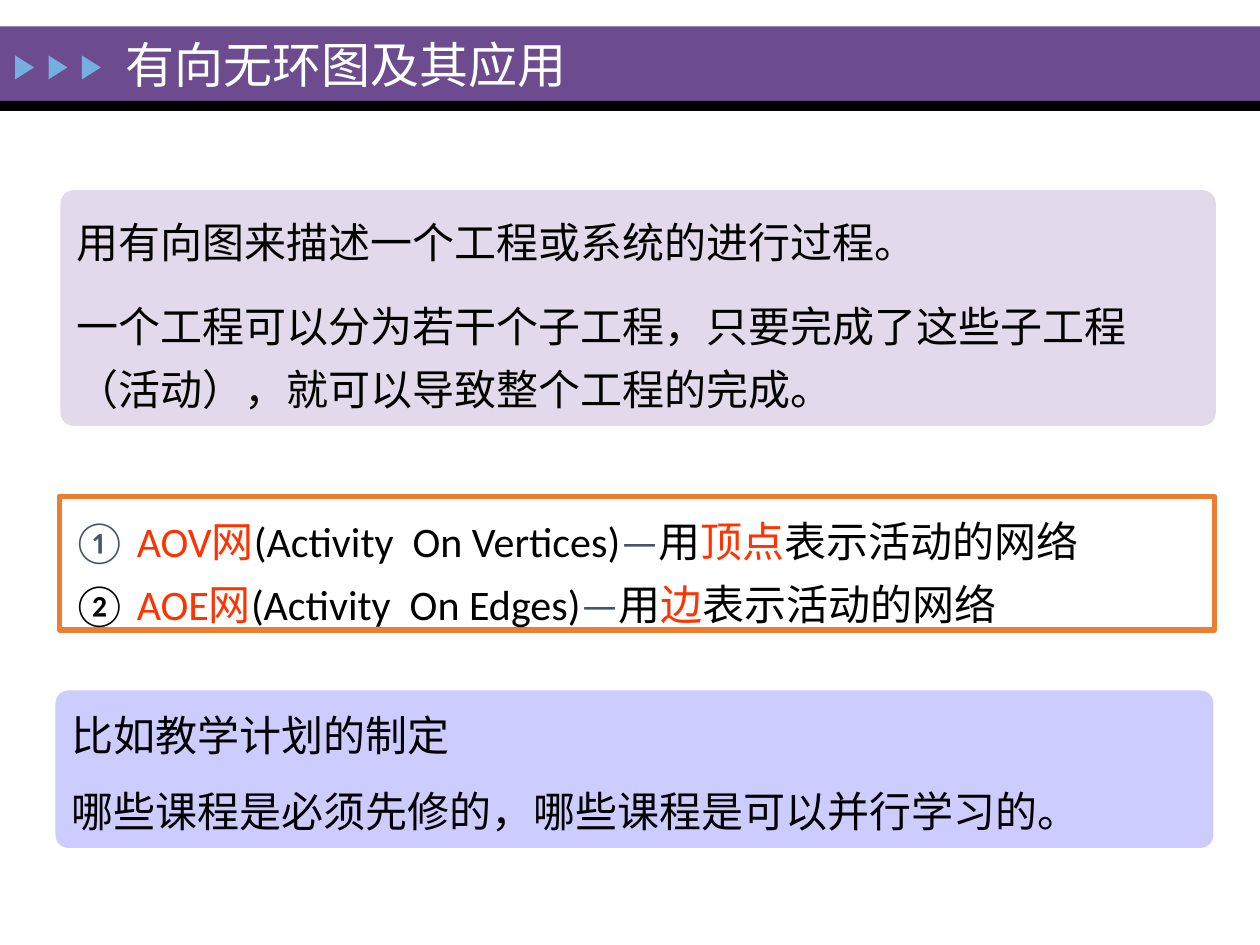
from pptx import Presentation
from pptx.dml.color import RGBColor
from pptx.enum.shapes import MSO_SHAPE as Shape
from pptx.enum.text import MSO_ANCHOR as Anchor, PP_ALIGN as Align
from pptx.util import Inches, Pt

PURPLE = RGBColor(0x6C, 0x4C, 0x8F)
BLACK = RGBColor(0, 0, 0)
WHITE = RGBColor(0xFF, 0xFF, 0xFF)
SKY = RGBColor(0x76, 0xAE, 0xDD)
LILAC = RGBColor(0xE2, 0xD9, 0xEB)
LAVENDER = RGBColor(0xCC, 0xCC, 0xFF)
ORANGE = RGBColor(0xED, 0x7D, 0x31)
SLATE = RGBColor(0x44, 0x54, 0x6A)
RED = RGBColor(0xFF, 0x33, 0x00)

deck = Presentation()
deck.slide_width, deck.slide_height = Inches(10), Inches(7.5)
page = deck.slides.add_slide(deck.slide_layouts[6])
UNIT = deck.slide_width / 100  # grid of 100 columns by 75 rows


def place(kind, *cells, fill=None):
    box = page.shapes.add_shape(kind, *(round(cell * UNIT) for cell in cells))
    box.shadow.inherit = False
    box.line.fill.background()
    if fill is None:
        box.fill.background()
    else:
        box.fill.solid()
        box.fill.fore_color.rgb = fill
    return box


def write(box, paragraphs, size, inset, anchor=Anchor.TOP, spacing=1.0, gap=0):
    frame = box.text_frame
    settings = {"word_wrap": True, "vertical_anchor": anchor, "margin_top": Inches(inset)}
    for name, value in settings.items():
        setattr(frame, name, value)
    for number, spans in enumerate(paragraphs):
        para = frame.add_paragraph() if number else frame.paragraphs[0]
        para.alignment = Align.LEFT
        para.line_spacing = spacing
        if number and gap:
            para.space_before = Pt(gap)
        for text, color in spans:
            span = para.add_run()
            span.text = text
            span.font.name, span.font.size = "Calibri", Pt(size)
            span.font.color.rgb = color


# Title band with its arrows
place(Shape.RECTANGLE, 0, 2.1, 100, 5.9, fill=PURPLE)
place(Shape.RECTANGLE, 0, 8, 100, 0.8, fill=BLACK)
for column in range(3):
    arrow = place(Shape.ISOSCELES_TRIANGLE, 1 + 2.65 * column, 4.6, 1.9, 1.5, fill=SKY)
    arrow.rotation = 90

# Title
title = page.shapes.add_textbox(*(round(cell * UNIT) for cell in (9, 0.9, 58.2, 8.4)))
write(title, [[("有向无环图及其应用", WHITE)]], 28, 0.05, anchor=Anchor.MIDDLE)

# Rounded panels: cells, corner, fill, line spacing, lines
panels = [
    ((4.8, 15.1, 91.7, 18.7), 0.056, LILAC, 1.25,
     ["用有向图来描述一个工程或系统的进行过程。",
      "一个工程可以分为若干个子工程，只要完成了这些子工程（活动），就可以导致整个工程的完成。"]),
    ((4.4, 54.8, 91.9, 12.5), 0.082, LAVENDER, 1.1,
     ["比如教学计划的制定",
      "哪些课程是必须先修的，哪些课程是可以并行学习的。"]),
]
for cells, corner, fill, spacing, lines in panels:
    panel = place(Shape.ROUNDED_RECTANGLE, *cells, fill=fill)
    panel.adjustments[0] = corner
    write(panel, [[(line, BLACK)] for line in lines], 24, 0.08, spacing=spacing, gap=12)

# Framed list of the two networks
networks = [
    ("① ", SLATE, "AOV网", "(Activity  On Vertices)", "顶点"),
    ("② ", BLACK, "AOE网", "(Activity  On Edges)", "边"),
]
frame_box = place(Shape.RECTANGLE, 4.7, 39.4, 91.7, 10.6)
frame_box.line.color.rgb = ORANGE
frame_box.line.width = Pt(3)
rows = [
    [(mark, mark_color), (name, RED), (meaning, BLACK), ("—", SLATE),
     ("用", BLACK), (part, RED), ("表示活动的网络", BLACK)]
    for mark, mark_color, name, meaning, part in networks
]
write(frame_box, rows, 24, 0.05, spacing=1.25)

deck.save("out.pptx")
